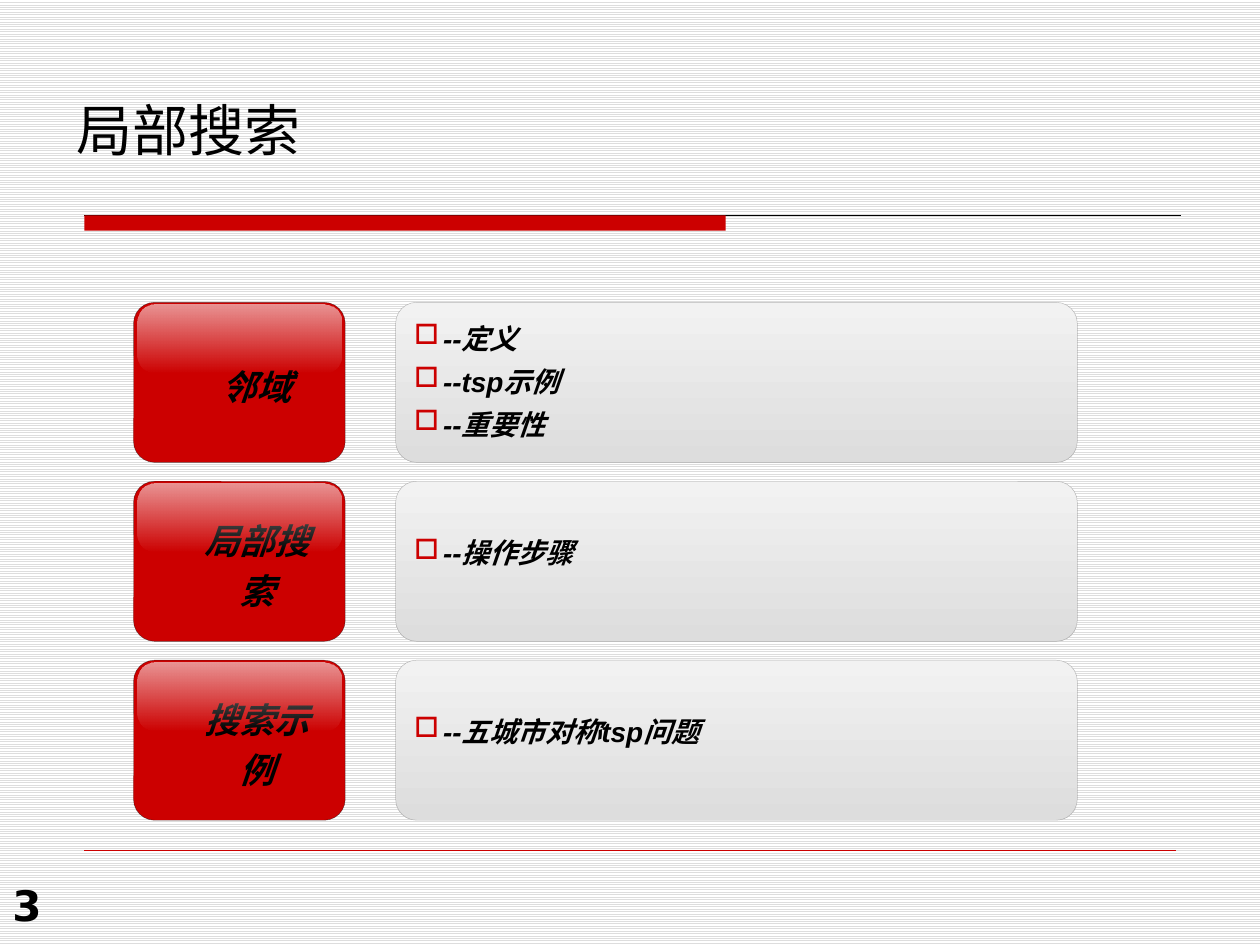
from lxml import etree
from pptx import Presentation
from pptx.dml.color import RGBColor
from pptx.enum.dml import MSO_PATTERN
from pptx.enum.shapes import MSO_CONNECTOR, MSO_SHAPE
from pptx.enum.text import MSO_ANCHOR, PP_ALIGN
from pptx.oxml.ns import qn
from pptx.util import Inches, Pt

# Content
TITLE = "局部搜索"
PAGE = "3"
ROWS = [
    ("邻域", ["--定义", "--tsp示例", "--重要性"]),
    ("局部搜索", ["--操作步骤"]),
    ("搜索示例", ["--五城市对称tsp问题"]),
]


class Theme:
    red, black, white = "CC0000", "000000", "FFFFFF"
    stripe, panel_top, panel_bottom = "DDDDDD", "F2F2F2", "DDDDDD"
    label_edge, panel_edge = "1C1C1C", "969696"
    title_size, page_size, label_size, item_size = 32, 24, 20, 16
    heading_font, label_font, item_font = "DejaVu Sans", "Times New Roman", "Arial"


# Layout, in inches
ROW_TOP, ROW_PITCH, ROW_HEIGHT = 2.4, 1.42, 1.27
LABEL_LEFT, LABEL_WIDTH = 1.06, 1.68
PANEL_LEFT, PANEL_WIDTH = 3.14, 5.41
GLOSS_INSET, GLOSS_HEIGHT = 0.03, 0.54
ITEM_INDENT, LABEL_INDENT = 0.23, 0.28
TOP_INSET, SKIPPED_LINE = 0.05, 0.28


def rgb(value):
    return RGBColor.from_string(value)


def add_color(parent, color, alpha=100):
    node = etree.SubElement(parent, qn("a:srgbClr"), val=color)
    if alpha < 100:
        etree.SubElement(node, qn("a:alpha"), val=str(alpha * 1000))


def set_gradient(shape, top, bottom):
    """Fill downwards between two (color, alpha) stops."""
    shape.fill.gradient()
    shape.fill.gradient_angle = 270
    stops = shape._element.spPr.find(qn("a:gradFill")).find(qn("a:gsLst"))
    for old in list(stops):
        stops.remove(old)
    for pos, stop in (("0", top), ("100000", bottom)):
        add_color(etree.SubElement(stops, qn("a:gs"), pos=pos), *stop)


def set_edge(shape, color, alpha):
    shape.line.color.rgb = rgb(color)
    shape.line.width = Pt(0.25)
    fill = shape.line._ln.find(qn("a:solidFill"))
    fill.remove(fill[0])
    add_color(fill, color, alpha)


def add_box(parent, kind, left, top, width, height, fill=None, radius=None):
    box = parent.add_shape(kind, Inches(left), Inches(top), Inches(width), Inches(height))
    box.shadow.inherit = False
    box.line.fill.background()
    if fill:
        box.fill.solid()
        box.fill.fore_color.rgb = rgb(fill)
    if radius:
        box.adjustments[0] = radius
    return box


def add_rule(left, right, y, color, width):
    rule = slide.shapes.add_connector(
        MSO_CONNECTOR.STRAIGHT, Inches(left), Inches(y), Inches(right), Inches(y))
    rule.line.color.rgb = rgb(color)
    rule.line.width = Pt(width)
    etree.SubElement(rule._element.spPr, qn("a:effectLst"))


def write(shape, lines, font, size, anchor, bold=False, italic=False,
          align=PP_ALIGN.LEFT, indent=0, bullet=None, spaced=False):
    frame = shape.text_frame
    frame.word_wrap = True
    frame.vertical_anchor = anchor
    for i, line in enumerate(lines):
        para = frame.paragraphs[0] if i == 0 else frame.add_paragraph()
        para.alignment = align
        if spaced:
            para.line_spacing = 1.2
            para.space_before = Pt(size / 10)
        props = para._p.get_or_add_pPr()
        props.set("marL", str(Inches(indent)))
        if bullet:
            props.set("indent", str(-Inches(indent)))
            add_color(etree.SubElement(props, qn("a:buClr")), Theme.red)
            etree.SubElement(props, qn("a:buChar"), char=bullet)
        run = para.add_run()
        run.text = line
        run.font.name, run.font.size = font, Pt(size)
        run.font.bold, run.font.italic = bold, italic
        run.font.color.rgb = rgb(Theme.black)


def add_text(left, top, width, height, text, size, anchor, bold=False):
    box = slide.shapes.add_textbox(Inches(left), Inches(top), Inches(width), Inches(height))
    write(box, [text], Theme.heading_font, size, anchor, bold=bold)


def add_label(text, top):
    group = slide.shapes.add_group_shape().shapes
    label = add_box(group, MSO_SHAPE.ROUNDED_RECTANGLE, LABEL_LEFT, top,
                    LABEL_WIDTH, ROW_HEIGHT, Theme.red, 0.131)
    set_edge(label, Theme.label_edge, 56)
    write(label, [text], Theme.label_font, Theme.label_size, MSO_ANCHOR.MIDDLE, True, True,
          PP_ALIGN.CENTER, LABEL_INDENT, spaced=True)
    gloss = add_box(group, MSO_SHAPE.ROUNDED_RECTANGLE, LABEL_LEFT + GLOSS_INSET,
                    top + GLOSS_INSET / 2, LABEL_WIDTH - 2 * GLOSS_INSET, GLOSS_HEIGHT,
                    radius=0.256)
    set_gradient(gloss, (Theme.white, 59), (Theme.white, 0))


def add_panel(items, top):
    panel = add_box(slide.shapes, MSO_SHAPE.ROUNDED_RECTANGLE, PANEL_LEFT, top,
                    PANEL_WIDTH, ROW_HEIGHT, radius=0.131)
    set_gradient(panel, (Theme.panel_top, 100), (Theme.panel_bottom, 100))
    set_edge(panel, Theme.panel_edge, 66)
    # A single item sits on the second line
    extra = SKIPPED_LINE if len(items) == 1 else 0
    panel.text_frame.margin_top = Inches(TOP_INSET + extra)
    write(panel, items, Theme.item_font, Theme.item_size, MSO_ANCHOR.TOP, True, True,
          indent=ITEM_INDENT, bullet="□", spaced=True)


# Slide and striped background
prs = Presentation()
prs.slide_width, prs.slide_height = Inches(10), Inches(7.5)
slide = prs.slides.add_slide(prs.slide_layouts[6])
background = slide.background.fill
background.patterned()
background.pattern = MSO_PATTERN.LIGHT_HORIZONTAL
background.fore_color.rgb = rgb(Theme.stripe)
background.back_color.rgb = rgb(Theme.white)

# Frame: header bar, rules, page number, title
add_rule(0.67, 9.37, 1.71, Theme.black, 0.75)
add_box(slide.shapes, MSO_SHAPE.RECTANGLE, 0.67, 1.71, 5.09, 0.12, Theme.red)
add_rule(0.67, 9.33, 6.75, Theme.red, 0.25)
add_text(0, 6.93, 2.17, 0.52, PAGE, Theme.page_size, MSO_ANCHOR.TOP, bold=True)
add_text(0.51, 0.71, 6.78, 0.63, TITLE, Theme.title_size, MSO_ANCHOR.BOTTOM)

# Rows of label and panel
for index, (name, points) in enumerate(ROWS):
    row_top = ROW_TOP + index * ROW_PITCH
    add_label(name, row_top)
    add_panel(points, row_top)

prs.save("out.pptx")
